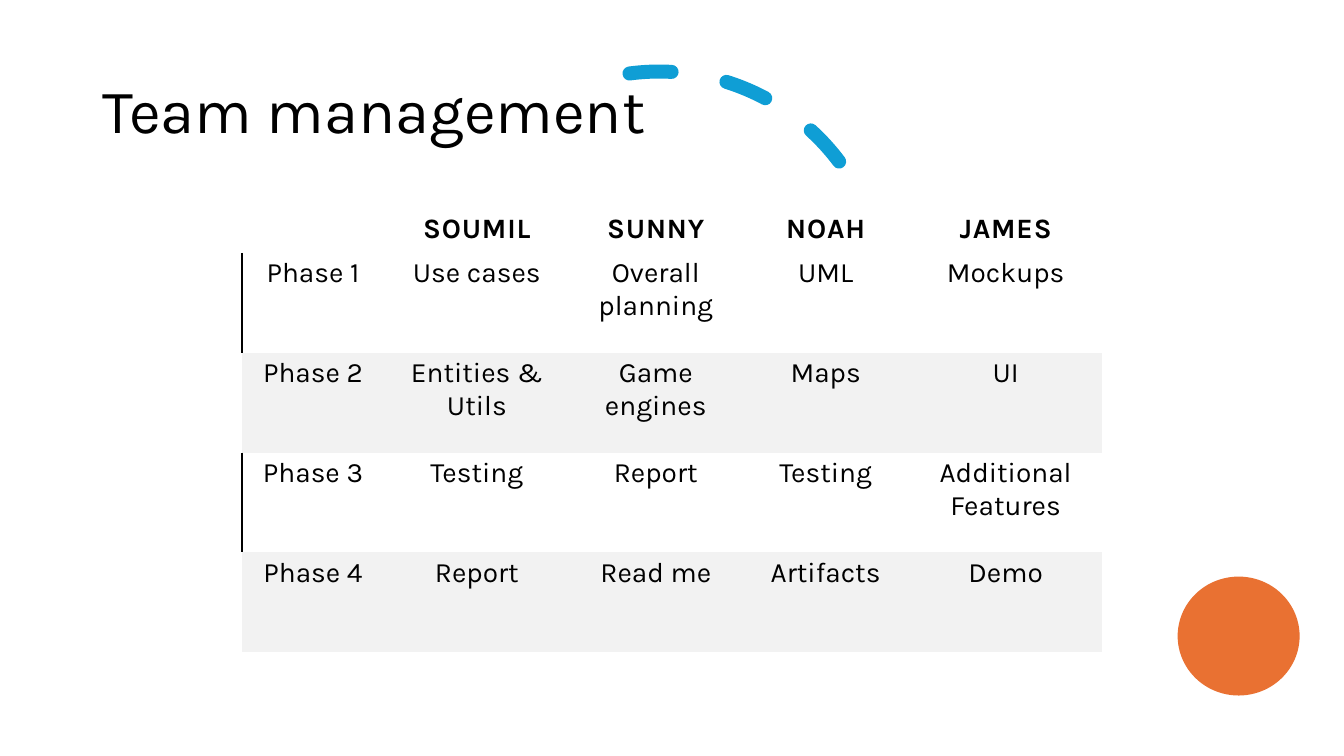
from dataclasses import dataclass

from pptx import Presentation
from pptx.dml.color import RGBColor
from pptx.enum.dml import MSO_LINE
from pptx.enum.shapes import MSO_SHAPE
from pptx.enum.text import MSO_ANCHOR, PP_ALIGN
from pptx.oxml import parse_xml
from pptx.oxml.ns import nsdecls, qn
from pptx.slide import Slide
from pptx.table import _Cell as Cell
from pptx.text.text import _Paragraph as Paragraph, _Run as Run
from pptx.util import Inches, Pt


@dataclass(frozen=True)
class Theme:
    font: str = "Karla"
    ink: str = "000000"
    arc: str = "0F9ED5"
    dot: str = "E97132"
    band: str = "F2F2F2"
    title_size: int = 44
    table_size: int = 20
    letter_gap: int = 60  # hundredths of a point
    plain_table: str = "{2D5ABB26-0587-4C30-8999-92F81FD0307C}"


@dataclass(frozen=True)
class Phase:
    name: str
    tasks: tuple[str, ...]
    banded: bool


THEME = Theme()
MEMBERS = ("SOUMIL", "SUNNY", "NOAH", "JAMES")
PHASES = (
    Phase("Phase 1", ("Use cases", "Overall planning", "UML", "Mockups"), False),
    Phase("Phase 2", ("Entities & Utils", "Game engines", "Maps", "UI"), True),
    Phase("Phase 3", ("Testing", "Report", "Testing", "Additional Features"), False),
    Phase("Phase 4", ("Report", "Read me", "Artifacts", "Demo"), True),
)
COLUMN_WIDTHS = (1.41, 1.84, 1.71, 1.66, 1.91)
HEADER_HEIGHT, PHASE_HEIGHT = 0.66, 0.99


def add_span(para: Paragraph, text: str, size: int, bold: bool = False) -> Run:
    span = para.add_run()
    span.text = text
    span.font.name = THEME.font
    span.font.size = Pt(size)
    span.font.bold = bold
    span.font.color.rgb = RGBColor.from_string(THEME.ink)
    return span


def add_arc(page: Slide) -> None:
    arc = page.shapes.add_shape(
        MSO_SHAPE.ARC, Inches(4.3), Inches(0.71), Inches(4.47), Inches(4.47))
    arc.adjustments[0] = 162
    arc.adjustments[1] = 200.93
    arc.rotation = 233.1
    arc.shadow.inherit = False
    arc.fill.background()
    arc.line.color.rgb = RGBColor.from_string(THEME.arc)
    arc.line.width = Pt(10)
    arc.line.dash_style = MSO_LINE.DASH
    # Mirror the arc and round its dash ends
    properties = arc.element.spPr
    properties.find(qn("a:xfrm")).set("flipV", "1")
    properties.find(qn("a:ln")).set("cap", "rnd")


def add_title(page: Slide, text: str) -> None:
    title = page.shapes.title
    title.left, title.top = Inches(0.92), Inches(0.4)
    title.width, title.height = Inches(11.5), Inches(1.45)
    title.text_frame.vertical_anchor = MSO_ANCHOR.MIDDLE
    title.text_frame.word_wrap = True
    para = title.text_frame.paragraphs[0]
    para.alignment = PP_ALIGN.LEFT
    para.line_spacing = 0.9
    add_span(para, text, THEME.title_size)


def add_dot(page: Slide) -> None:
    dot = page.shapes.add_shape(
        MSO_SHAPE.OVAL, Inches(11.68), Inches(5.72), Inches(1.21), Inches(1.18))
    dot.shadow.inherit = False
    dot.fill.solid()
    dot.fill.fore_color.rgb = RGBColor.from_string(THEME.dot)
    dot.line.fill.background()


def fill_cell(cell: Cell, text: str, header: bool, banded: bool) -> None:
    cell.margin_left = cell.margin_right = Inches(0.08)
    cell.margin_top = Inches(0.07 if header else 0.04)
    cell.margin_bottom = Inches(0.07)
    cell.vertical_anchor = MSO_ANCHOR.BOTTOM if header else MSO_ANCHOR.TOP
    if banded:
        cell.fill.solid()
        cell.fill.fore_color.rgb = RGBColor.from_string(THEME.band)
    else:
        cell.fill.background()
    if text:
        para = cell.text_frame.paragraphs[0]
        para.alignment = PP_ALIGN.CENTER
        span = add_span(para, text, THEME.table_size, bold=header)
        if header:
            span.font._element.set("spc", str(THEME.letter_gap))


def add_left_border(cell: Cell) -> None:
    border = parse_xml(
        f'<a:lnL {nsdecls("a")} w="{Pt(1)}"><a:solidFill>'
        f'<a:srgbClr val="{THEME.ink}"/></a:solidFill></a:lnL>')
    cell._tc.get_or_add_tcPr().insert(0, border)


def add_schedule(page: Slide) -> None:
    heights = (HEADER_HEIGHT,) + (PHASE_HEIGHT,) * len(PHASES)
    frame = page.shapes.add_table(
        len(heights), len(COLUMN_WIDTHS), Inches(2.4), Inches(1.85),
        Inches(sum(COLUMN_WIDTHS)), Inches(sum(heights)))
    table = frame.table
    table.first_row = table.horz_banding = False
    table._tbl.tblPr.find(qn("a:tableStyleId")).text = THEME.plain_table
    for column, width in zip(table.columns, COLUMN_WIDTHS):
        column.width = Inches(width)
    for row, height in zip(table.rows, heights):
        row.height = Inches(height)

    # Header row
    for cell, member in zip(table.rows[0].cells, ("", *MEMBERS)):
        fill_cell(cell, member, header=True, banded=False)

    # One row per phase
    for index, phase in enumerate(PHASES, start=1):
        for cell, text in zip(table.rows[index].cells, (phase.name, *phase.tasks)):
            fill_cell(cell, text, header=False, banded=phase.banded)
        if not phase.banded:
            add_left_border(table.cell(index, 0))


def main() -> None:
    deck = Presentation()
    deck.slide_width, deck.slide_height = Inches(13.33), Inches(7.5)
    page = deck.slides.add_slide(deck.slide_layouts[5])
    add_title(page, "Team management")
    add_arc(page)
    add_dot(page)
    add_schedule(page)
    deck.save("out.pptx")


if __name__ == "__main__":
    main()
